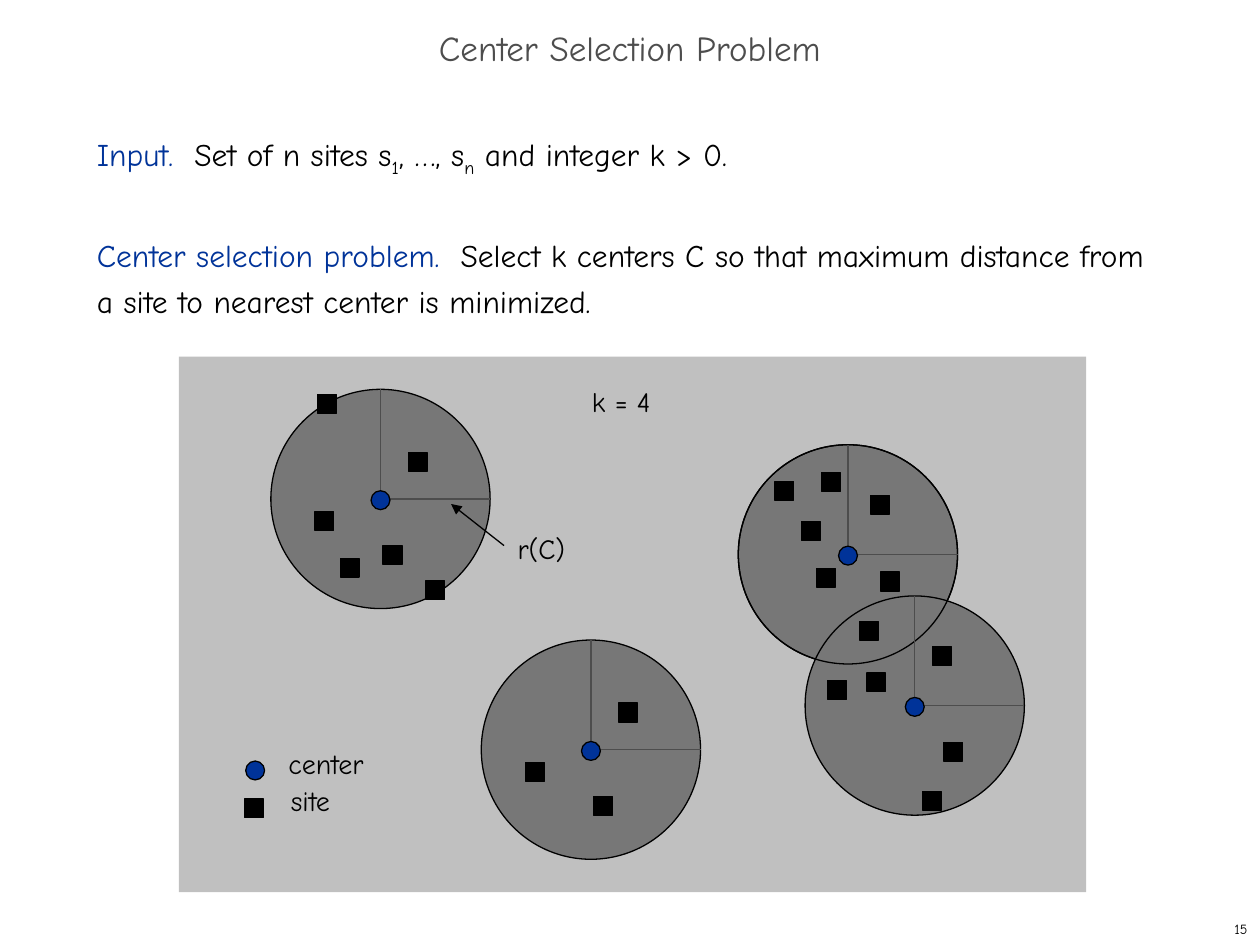
from lxml import etree
from pptx import Presentation
from pptx.dml.color import RGBColor
from pptx.enum.shapes import MSO_CONNECTOR, MSO_SHAPE
from pptx.enum.text import MSO_ANCHOR, PP_ALIGN
from pptx.oxml.ns import qn
from pptx.util import Inches, Pt

RECT, OVAL = MSO_SHAPE.RECTANGLE, MSO_SHAPE.OVAL
STRAIGHT = MSO_CONNECTOR.STRAIGHT
TOP, MIDDLE = MSO_ANCHOR.TOP, MSO_ANCHOR.MIDDLE
LEFT, CENTER, RIGHT = PP_ALIGN.LEFT, PP_ALIGN.CENTER, PP_ALIGN.RIGHT

BLACK = RGBColor(0x00, 0x00, 0x00)
BLUE = RGBColor(0x00, 0x33, 0x99)
DARK = RGBColor(0x4D, 0x4D, 0x4D)
DISK = RGBColor(0x77, 0x77, 0x77)
PANEL = RGBColor(0xC0, 0xC0, 0xC0)

FONT = "Comic Neue"
DIAMETER = 1.74
MARK = 0.15

# Top-left corners, in inches from the panel's corner
DISKS = [(0.73, 0.26), (4.44, 0.7), (4.97, 1.9), (2.4, 2.25)]
SITES = [
    (1.1, 0.3), (1.82, 0.76), (1.08, 1.23), (1.62, 1.5), (1.28, 1.6), (1.96, 1.78),
    (4.73, 0.99), (5.1, 0.92), (5.49, 1.1), (4.94, 1.31), (5.06, 1.68), (5.57, 1.71),
    (5.4, 2.1), (5.98, 2.3), (5.15, 2.57), (5.46, 2.51), (6.07, 3.06), (5.9, 3.45),
    (3.49, 2.75), (2.75, 3.22), (3.29, 3.49),
]


def add_shape(s, kind, x, y, w, h, fill=None, line=None):
    sp = s.shapes.add_shape(kind, Inches(x), Inches(y), Inches(w), Inches(h))
    sp.shadow.inherit = False
    if fill is None:
        sp.fill.background()
    else:
        sp.fill.solid()
        sp.fill.fore_color.rgb = fill
    if line is None:
        sp.line.fill.background()
    else:
        sp.line.color.rgb = line
        sp.line.width = Pt(0.75)
    return sp


def add_line(s, x1, y1, x2, y2, color, arrow=False):
    c = s.shapes.add_connector(STRAIGHT, Inches(x1), Inches(y1), Inches(x2), Inches(y2))
    c.line.color.rgb = color
    c.line.width = Pt(0.75)
    pr = c._element.spPr
    if arrow:
        etree.SubElement(pr.find(qn("a:ln")), qn("a:tailEnd"), type="triangle")
    etree.SubElement(pr, qn("a:effectLst"))


def add_run(p, text, size, color=BLACK, baseline=None):
    r = p.add_run()
    r.text = text
    for name, value in {"name": FONT, "size": Pt(size)}.items():
        setattr(r.font, name, value)
    r.font.color.rgb = color
    if baseline:
        r.font._element.set("baseline", str(baseline))


def add_text_box(s, x, y, w, h, anchor=TOP, wrap=True):
    tf = s.shapes.add_textbox(Inches(x), Inches(y), Inches(w), Inches(h)).text_frame
    tf.word_wrap = wrap
    tf.vertical_anchor = anchor
    return tf


def add_label(s, x, y, w, h, text, size=16, color=BLACK, align=LEFT, anchor=TOP, wrap=False):
    p = add_text_box(s, x, y, w, h, anchor, wrap).paragraphs[0]
    p.alignment = align
    add_run(p, text, size, color)
    return p


def add_site(s, x, y):
    add_shape(s, RECT, x, y, MARK, MARK, BLACK, BLACK)


def add_center(s, x, y):
    add_shape(s, OVAL, x, y, MARK, MARK, BLUE, BLACK)


def add_hub(s, x, y):
    """Center mark of a disk with its radius lines going up and right."""
    radius = DIAMETER / 2
    cx, cy = x + radius, y + radius
    add_line(s, cx, cy, x + DIAMETER, cy, DARK)
    add_line(s, cx, cy, cx, y, DARK)
    add_center(s, cx - MARK / 2, cy - MARK / 2 + 0.01)


def add_legend(s, x, y):
    add_center(s, x + 0.01, y + 0.16)
    add_label(s, x + 0.25, y, 0.81, 0.37, "center")
    add_site(s, x, y + 0.46)
    add_label(s, x + 0.27, y + 0.29, 0.52, 0.37, "site")


def add_diagram(s, x, y, w, h):
    add_shape(s, RECT, x, y, w, h, PANEL)
    disks = [(x + dx, y + dy) for dx, dy in DISKS]
    for left, top in disks:
        add_shape(s, OVAL, left, top, DIAMETER, DIAMETER, DISK, BLACK)
    # The overlapped disk keeps its full outline
    add_shape(s, OVAL, *disks[1], DIAMETER, DIAMETER, line=BLACK)
    for left, top in disks:
        add_hub(s, left, top)
    for dx, dy in SITES:
        add_site(s, x + dx, y + dy)
    add_label(s, x + 3.18, y + 0.17, 0.67, 0.37, "k = 4")
    add_label(s, x + 2.59, y + 1.34, 0.58, 0.37, "r(C)")
    add_line(s, x + 2.58, y + 1.5, x + 2.16, y + 1.17, BLACK, arrow=True)
    add_legend(s, x + 0.52, y + 3.05)


def add_body(s, x, y, w, h):
    tf = add_text_box(s, x, y, w, h)
    paragraphs = [
        [("Input.  ", BLUE), ("Set of n sites s",), ("1", BLACK, -25000), (", …, s",),
         ("n", BLACK, -25000), (" and integer k > 0.",)],
        [("Center selection problem.  ", BLUE),
         ("Select k centers C so that maximum distance from a site to nearest center "
          "is minimized.",)],
    ]
    for i, runs in enumerate(paragraphs):
        p = tf.add_paragraph() if i else tf.paragraphs[0]
        p.line_spacing = Pt(26)
        if i:
            p.space_before = Pt(29)
        for text, *style in runs:
            add_run(p, text, 18, *style)


def main():
    prs = Presentation()
    prs.slide_width, prs.slide_height = Inches(10), Inches(7.5)
    s = prs.slides.add_slide(prs.slide_layouts[6])
    add_diagram(s, 1.42, 2.83, 7.2, 4.25)
    title = add_label(s, 0, 0.17, 10, 0.5, "Center Selection Problem", 20, DARK,
                      CENTER, MIDDLE, True)
    title.line_spacing = 0.7
    add_body(s, 0.67, 1, 8.58, 1.6)
    add_label(s, 7.92, 7.25, 2.08, 0.25, "15", 8, BLACK, RIGHT, MIDDLE, True)
    prs.save("out.pptx")


if __name__ == "__main__":
    main()
